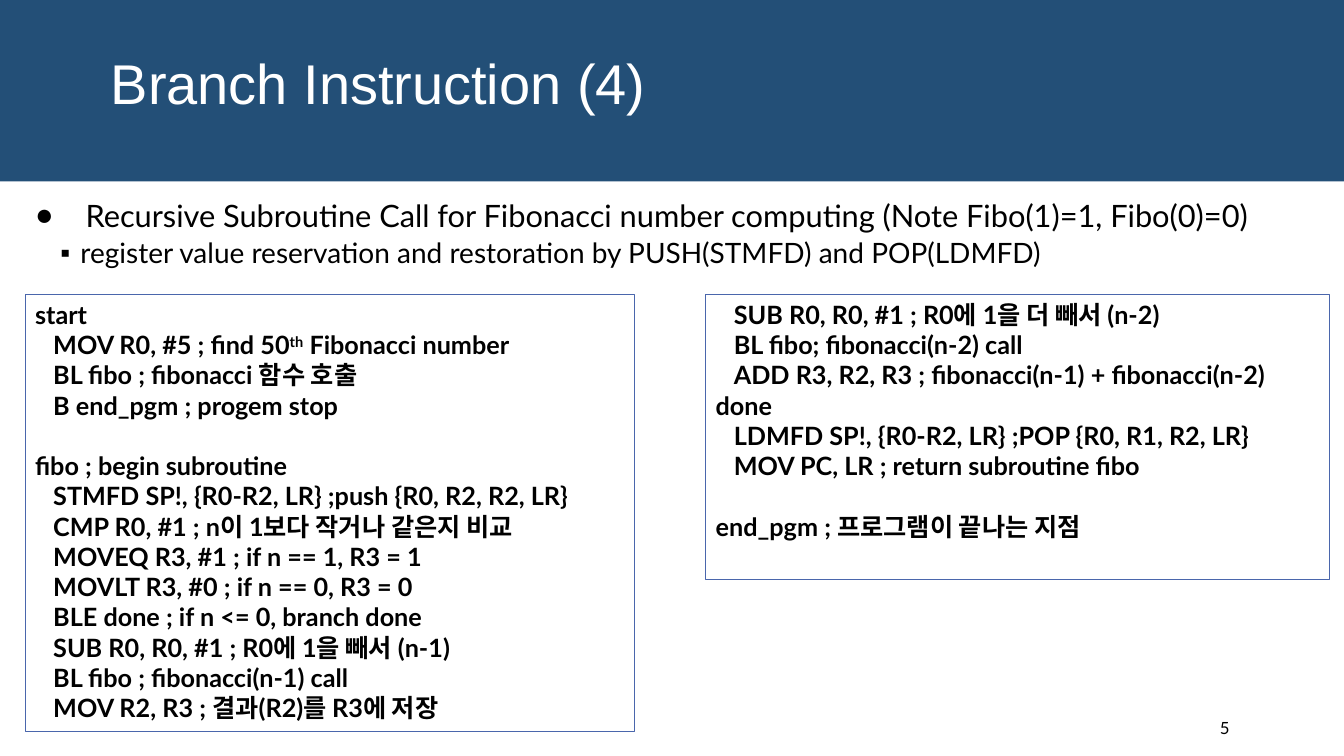
from dataclasses import dataclass
from lxml.etree import SubElement
from pptx import Presentation
from pptx.dml.color import RGBColor
from pptx.enum.shapes import MSO_SHAPE
from pptx.enum.text import MSO_ANCHOR
from pptx.oxml.ns import qn
from pptx.util import Inches, Pt


@dataclass(frozen=True)
class Theme:
    band: RGBColor = RGBColor.from_string("234F77")
    edge: RGBColor = RGBColor.from_string("4A66AC")
    ink: RGBColor = RGBColor.from_string("000000")
    pale: RGBColor = RGBColor.from_string("FFFFFF")
    head: str = "Arial"
    body: str = "Lato"
    title: int = 40
    point: int = 22
    sub: int = 20
    code: int = 18
    note: int = 12
    skip: float = 21.6  # height of one line of code


THEME = Theme()
WIDE, HIGH = 13.33, 7.5

# level, mark, text, size, left margin, hanging indent
POINTS = [
    (0, "●", "Recursive Subroutine Call for Fibonacci number computing "
             "(Note Fibo(1)=1, Fibo(0)=0)", THEME.point, 0.5, -0.5),
    (1, "▪", "register value reservation and restoration by "
             "PUSH(STMFD) and POP(LDMFD)", THEME.sub, 0.45, -0.2),
]

# Each block: label, blank lines above it, instructions; ^ encloses superscript.
LEFT = [
    ("start", 0, [
        "MOV R0, #5 ; find 50^th^ Fibonacci number",
        "BL fibo ; fibonacci 함수 호출",
        "B end_pgm ; progem stop",
    ]),
    ("fibo ; begin subroutine", 1, [
        "STMFD SP!, {R0-R2, LR} ;push {R0, R2, R2, LR}",
        "CMP R0, #1 ; n이 1보다 작거나 같은지 비교",
        "MOVEQ R3, #1 ; if n == 1, R3 = 1",
        "MOVLT R3, #0 ; if n == 0, R3 = 0",
        "BLE done ; if n <= 0, branch done",
        "SUB R0, R0, #1 ; R0에 1을 빼서 (n-1)",
        "BL fibo ; fibonacci(n-1) call",
        "MOV R2, R3 ; 결과(R2)를 R3에 저장",
    ]),
]
RIGHT = [
    (None, 0, [
        "SUB R0, R0, #1 ; R0에 1을 더 빼서 (n-2)",
        "BL fibo; fibonacci(n-2) call",
        "ADD R3, R2, R3 ; fibonacci(n-1) + fibonacci(n-2)",
    ]),
    ("done", 0, [
        "LDMFD SP!, {R0-R2, LR} ;POP {R0, R1, R2, LR}",
        "MOV PC, LR ; return subroutine fibo",
    ]),
    ("end_pgm ; 프로그램이 끝나는 지점", 1, []),
]


def frame(slide, box, wrap=True, anchor=MSO_ANCHOR.TOP):
    """Add a text box; return it with its text frame."""
    shape = slide.shapes.add_textbox(*map(Inches, box))
    text = shape.text_frame
    text.word_wrap = wrap
    text.vertical_anchor = anchor
    return shape, text


def style(para, size, color=THEME.ink, face=THEME.body, bold=False):
    font = para.font
    font.size, font.name, font.bold = Pt(size), face, bold
    font.color.rgb = color


def indent(para, left, first=0):
    props = para._p.get_or_add_pPr()
    props.set("marL", str(Inches(left)))
    props.set("indent", str(Inches(first)))
    return props


def fill(text, items):
    """Pair each item with a paragraph of its own."""
    for spot, item in enumerate(items):
        yield item, text.add_paragraph() if spot else text.paragraphs[0]


def header(slide, box, title):
    left, top, width, height = box
    band = slide.shapes.add_shape(MSO_SHAPE.RECTANGLE, *map(Inches, box))
    band.shadow.inherit = False
    band.fill.solid()
    band.fill.fore_color.rgb = THEME.band
    band.line.fill.background()
    inner = (left + width * 0.075, top + height * 0.17,
             width * 0.85, height * 0.62)
    _, text = frame(slide, inner, anchor=MSO_ANCHOR.MIDDLE)
    para = text.paragraphs[0]
    para.text = title
    para.line_spacing = 0.85
    style(para, THEME.title, THEME.pale, THEME.head)


def bullets(slide, box, points):
    _, text = frame(slide, box)
    for (level, mark, words, size, left, first), para in fill(text, points):
        para.text = words
        para.level = level
        para.line_spacing = 0.9
        para.space_before, para.space_after = Pt(2), Pt(2)
        props = indent(para, left, first)
        SubElement(props, qn("a:buFont")).set("typeface", THEME.head)
        SubElement(props, qn("a:buChar")).set("char", mark)
        style(para, size)


def listing(slide, box, blocks):
    """Outline a box and fill it with code."""
    shape, text = frame(slide, box, wrap=False)
    shape.line.color.rgb = THEME.edge
    shape.line.width = Pt(0.75)
    lines = []
    for label, gap, steps in blocks:
        if label:
            lines.append((label, gap, 0))
        lines += [(step, 0, 0.18) for step in steps]
    for (words, gap, left), para in fill(text, lines):
        for spot, part in enumerate(words.split("^")):
            run = para.add_run()
            run.text = part
            if spot % 2:
                run._r.get_or_add_rPr().set("baseline", "30000")
        para.space_before = Pt(gap * THEME.skip)
        indent(para, left)
        style(para, THEME.code, bold=True)


def number(slide, box, value):
    _, text = frame(slide, box, anchor=MSO_ANCHOR.MIDDLE)
    text.margin_left = Inches(0.05)
    para = text.paragraphs[0]
    para.text = str(value)
    style(para, THEME.note)


def main():
    deck = Presentation()
    deck.slide_width, deck.slide_height = Inches(WIDE), Inches(HIGH)
    slide = deck.slides.add_slide(deck.slide_layouts[6])
    edge, top = 0.25, 2.92
    header(slide, (0, 0, WIDE, HIGH * 0.24), "Branch Instruction (4)")
    bullets(slide, (edge, 1.94, WIDE - 2 * edge, 0.85), POINTS)
    number(slide, (12.05, 7.02, 1.03, 0.4), 5)
    listing(slide, (edge, top, 6.04, 4.34), LEFT)
    listing(slide, (7, top, 6.19, 2.83), RIGHT)
    deck.save("out.pptx")


if __name__ == "__main__":
    main()
